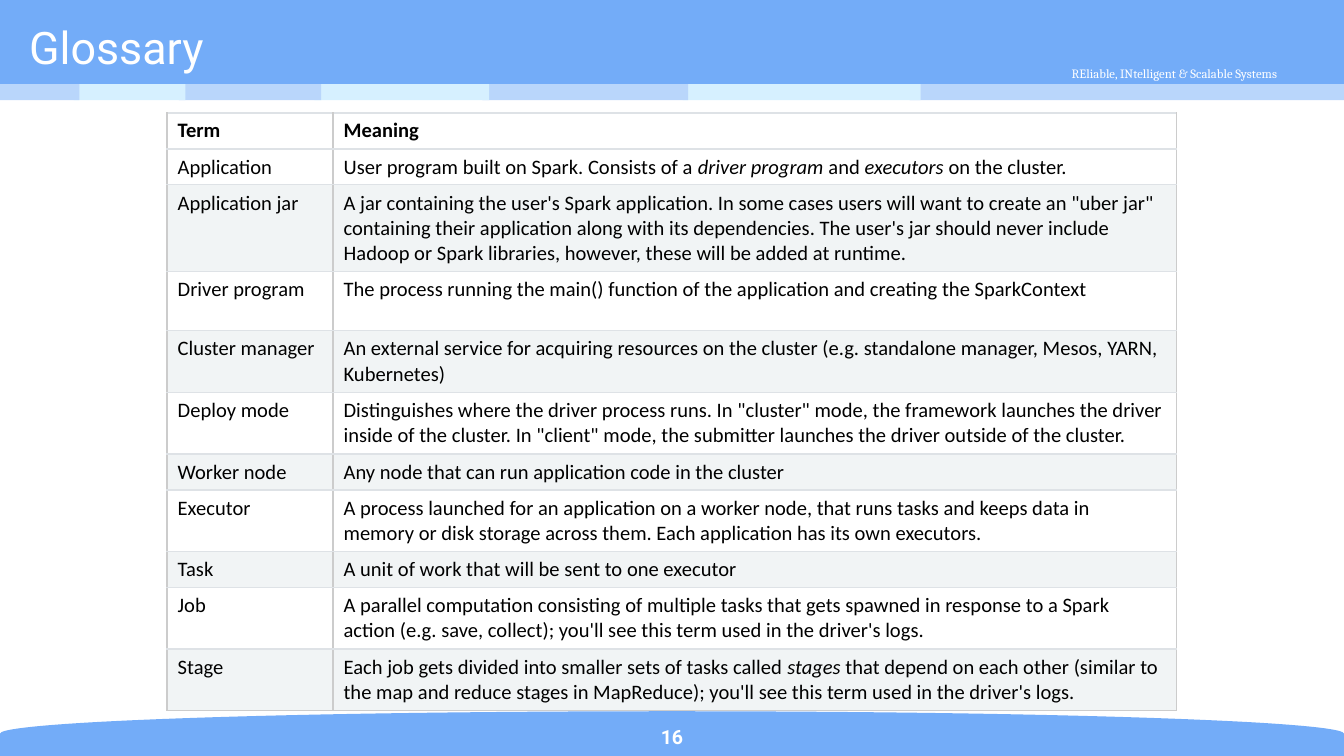
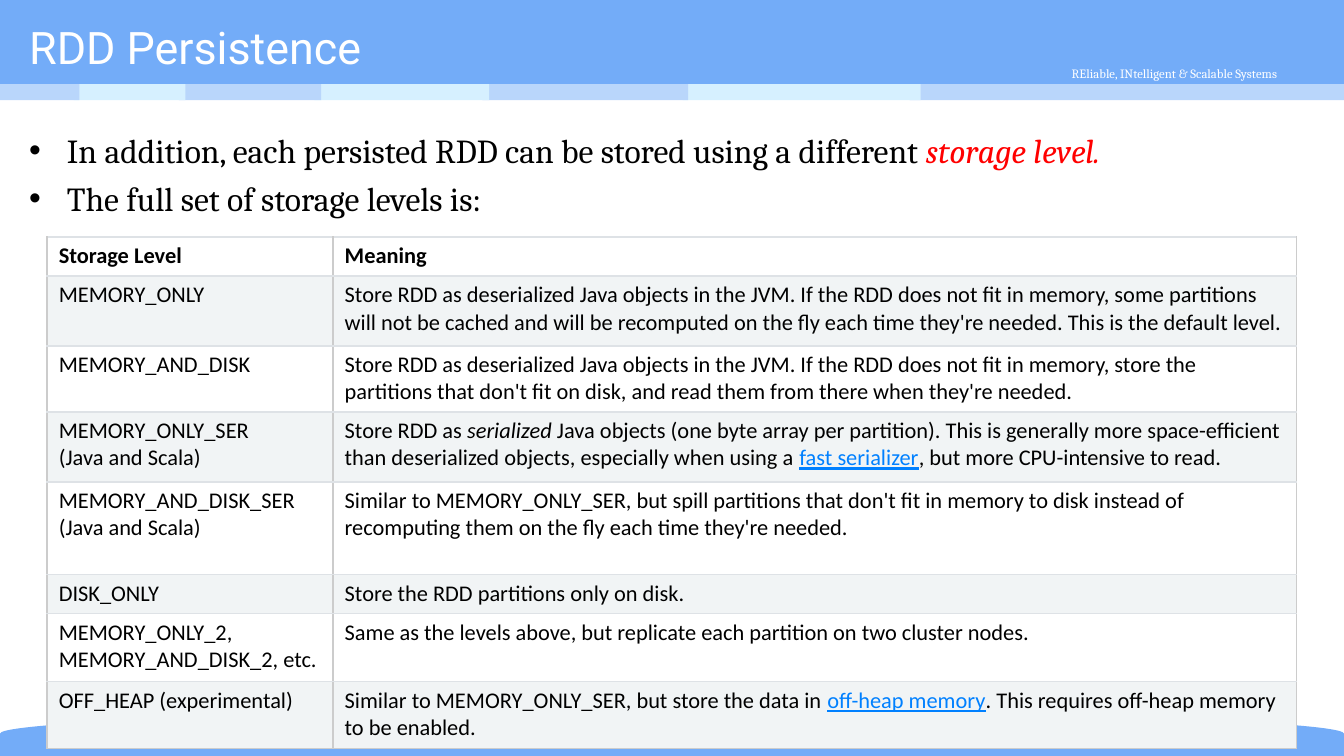
from dataclasses import dataclass
from typing import NamedTuple

from lxml.etree import SubElement
from pptx import Presentation
from pptx.dml.color import RGBColor
from pptx.enum.shapes import MSO_SHAPE as Preset
from pptx.enum.text import MSO_ANCHOR as Anchor, PP_ALIGN as Align
from pptx.oxml import parse_xml
from pptx.oxml.ns import nsdecls, qn
from pptx.util import Pt

BLUE = "73ACF8"
BAND_COLOURS = ("B9D6FB", "D6F0FF")
WHITE = "FFFFFF"
BLACK = "000000"
RED = "FF0000"
LINK = "0080FF"
STRIPE = "F1F4F5"
SIDE_BORDER = "CCCCCC"
ROW_BORDER = "DEE2E6"


class Box(NamedTuple):
    left: float
    top: float
    width: float
    height: float


class Band(NamedTuple):
    left: float
    width: float


class Span(NamedTuple):
    text: str
    colour: str = ""
    italic: bool = False
    underline: bool = False


Content = str | tuple[str | Span, ...]
Rows = tuple[tuple[Content, Content], ...]


class TextStyle(NamedTuple):
    font: str
    size: float
    colour: str = BLACK
    bold: bool = False


@dataclass
class TableSpec:
    left: float
    top: float
    columns: tuple[float, ...]
    heights: tuple[float, ...]
    side_margin: float
    size: float
    header_anchor: Anchor
    rows: Rows
    first_stripe: int


BANDS = (
    Band(0, 42.5), Band(39.6, 59.8), Band(95.8, 76.3), Band(168.5, 93.6),
    Band(258.5, 110.2), Band(365.8, 127.4), Band(487.4, 232.6),
)
TITLE_STYLE = TextStyle("Roboto", 24, WHITE)
TAGLINE_STYLE = TextStyle("Cambria", 6.8, WHITE)
NUMBER_STYLE = TextStyle("Roboto", 10.5, WHITE, True)
BODY_STYLE = TextStyle("Cambria", 18)

GLOSSARY = TableSpec(
    left=89.5, top=60.5, columns=(88.9, 451.8),
    heights=(19.3, 19.3, 46.6, 31.6, 33, 33, 19.3, 33, 19.3, 33, 33),
    side_margin=5.7, size=11, header_anchor=Anchor.BOTTOM, first_stripe=2,
    rows=(
        ("Term", "Meaning"),
        ("Application", (
            "User program built on Spark. Consists of a ",
            Span("driver program", italic=True), " and ",
            Span("executors", italic=True), " on the cluster.")),
        ("Application jar",
         "A jar containing the user's Spark application. In some cases users "
         "will want to create an \"uber jar\" containing their application along "
         "with its dependencies. The user's jar should never include Hadoop or "
         "Spark libraries, however, these will be added at runtime."),
        ("Driver program",
         "The process running the main() function of the application and "
         "creating the SparkContext"),
        ("Cluster manager",
         "An external service for acquiring resources on the cluster (e.g. "
         "standalone manager, Mesos, YARN, Kubernetes)"),
        ("Deploy mode",
         "Distinguishes where the driver process runs. In \"cluster\" mode, the "
         "framework launches the driver inside of the cluster. In \"client\" "
         "mode, the submitter launches the driver outside of the cluster."),
        ("Worker node", "Any node that can run application code in the cluster"),
        ("Executor",
         "A process launched for an application on a worker node, that runs "
         "tasks and keeps data in memory or disk storage across them. Each "
         "application has its own executors."),
        ("Task", "A unit of work that will be sent to one executor"),
        ("Job",
         "A parallel computation consisting of multiple tasks that gets spawned "
         "in response to a Spark action (e.g. save, collect); you'll see this "
         "term used in the driver's logs."),
        ("Stage", (
            "Each job gets divided into smaller sets of tasks called ",
            Span("stages", italic=True),
            " that depend on each other (similar to the map and reduce stages "
            "in MapReduce); you'll see this term used in the driver's logs.")),
    ),
)

STORAGE_LEVELS = TableSpec(
    left=25.2, top=127, columns=(153.2, 516),
    heights=(20.9, 37.5, 35.4, 37.5, 49.8, 20.9, 36.4, 35.6),
    side_margin=6.3, size=12, header_anchor=Anchor.TOP, first_stripe=1,
    rows=(
        ("Storage Level", "Meaning"),
        ("MEMORY_ONLY",
         "Store RDD as deserialized Java objects in the JVM. If the RDD does not "
         "fit in memory, some partitions will not be cached and will be "
         "recomputed on the fly each time they're needed. This is the default "
         "level."),
        ("MEMORY_AND_DISK",
         "Store RDD as deserialized Java objects in the JVM. If the RDD does not "
         "fit in memory, store the partitions that don't fit on disk, and read "
         "them from there when they're needed."),
        ("MEMORY_ONLY_SER\v(Java and Scala)", (
            "Store RDD as ", Span("serialized", italic=True),
            " Java objects (one byte array per partition). This is generally "
            "more space-efficient than deserialized objects, especially when "
            "using a ", Span("fast serializer", LINK, underline=True),
            ", but more CPU-intensive to read.")),
        ("MEMORY_AND_DISK_SER\v(Java and Scala)",
         "Similar to MEMORY_ONLY_SER, but spill partitions that don't fit in "
         "memory to disk instead of recomputing them on the fly each time "
         "they're needed."),
        ("DISK_ONLY", "Store the RDD partitions only on disk."),
        ("MEMORY_ONLY_2, MEMORY_AND_DISK_2, etc.",
         "Same as the levels above, but replicate each partition on two cluster "
         "nodes."),
        ("OFF_HEAP (experimental)", (
            "Similar to MEMORY_ONLY_SER, but store the data in ",
            Span("off-heap memory", LINK, underline=True),
            ". This requires off-heap memory to be enabled.")),
    ),
)

PERSISTENCE_POINTS: tuple[Content, ...] = (
    ("In addition, each persisted RDD can be stored using a different ",
     Span("storage level.", RED, italic=True)),
    "The full set of storage levels is:",
)


def rgb(colour: str) -> RGBColor:
    return RGBColor.from_string(colour)


def format_run(run, style: TextStyle, span: Span) -> None:
    font = run.font
    font.name = style.font
    font.size = Pt(style.size)
    font.bold = style.bold
    font.italic = span.italic
    font.underline = span.underline
    font.color.rgb = rgb(span.colour or style.colour)


def write_paragraph(paragraph, content: Content, style: TextStyle) -> None:
    if isinstance(content, str):
        paragraph.text = content
        for run in paragraph.runs:
            format_run(run, style, Span(run.text))
        return
    for part in content:
        span = Span(part) if isinstance(part, str) else part
        run = paragraph.add_run()
        run.text = span.text
        format_run(run, style, span)


def add_block(slide, preset: Preset, box: Box, colour: str):
    shape = slide.shapes.add_shape(preset, *map(Pt, box))
    shape.shadow.inherit = False
    shape.fill.solid()
    shape.fill.fore_color.rgb = rgb(colour)
    shape.line.fill.background()
    return shape


def add_label(slide, box: Box, text: str, style: TextStyle,
              align: Align = Align.LEFT, anchor: Anchor = Anchor.MIDDLE) -> None:
    text_frame = slide.shapes.add_textbox(*map(Pt, box)).text_frame
    text_frame.word_wrap = True
    text_frame.vertical_anchor = anchor
    paragraph = text_frame.paragraphs[0]
    paragraph.alignment = align
    write_paragraph(paragraph, text, style)


def add_bullets(slide, box: Box, points: tuple[Content, ...]) -> None:
    text_frame = slide.shapes.add_textbox(*map(Pt, box)).text_frame
    text_frame.word_wrap = True
    for index, point in enumerate(points):
        paragraph = text_frame.add_paragraph() if index else text_frame.paragraphs[0]
        properties = paragraph._p.get_or_add_pPr()
        properties.set("marL", str(Pt(20.2)))
        properties.set("indent", str(-Pt(20.2)))
        SubElement(properties, qn("a:buFont"), typeface="Arial")
        SubElement(properties, qn("a:buChar"), char="•")
        if index:
            paragraph.space_before = Pt(4)
        write_paragraph(paragraph, point, BODY_STYLE)


def set_borders(cell, bottom: str) -> None:
    properties = cell._tc.get_or_add_tcPr()
    sides = (("lnL", SIDE_BORDER), ("lnR", SIDE_BORDER), ("lnT", ROW_BORDER), ("lnB", bottom))
    for position, (tag, colour) in enumerate(sides):
        properties.insert(position, parse_xml(
            f'<a:{tag} {nsdecls("a")} w="{Pt(0.75)}"><a:solidFill>'
            f'<a:srgbClr val="{colour}"/></a:solidFill></a:{tag}>'))


def add_data_table(slide, spec: TableSpec) -> None:
    box = Box(spec.left, spec.top, sum(spec.columns), sum(spec.heights))
    table = slide.shapes.add_table(
        len(spec.rows), len(spec.columns), *map(Pt, box)).table
    table.first_row = False
    table.horz_banding = False
    for column, width in zip(table.columns, spec.columns):
        column.width = Pt(width)
    for index, contents in enumerate(spec.rows):
        table.rows[index].height = Pt(spec.heights[index])
        header = index == 0
        striped = not header and index % 2 == spec.first_stripe % 2
        last = index == len(spec.rows) - 1
        style = TextStyle("Calibri", spec.size, bold=header)
        for cell, content in zip(table.rows[index].cells, contents):
            cell.margin_left = cell.margin_right = Pt(spec.side_margin)
            cell.margin_top = cell.margin_bottom = Pt(2.9)
            cell.vertical_anchor = spec.header_anchor if header else Anchor.TOP
            cell.fill.solid()
            cell.fill.fore_color.rgb = rgb(STRIPE if striped else WHITE)
            set_borders(cell, SIDE_BORDER if last else ROW_BORDER)
            write_paragraph(cell.text_frame.paragraphs[0], content, style)


def add_framed_slide(presentation, title: str):
    slide = presentation.slides.add_slide(presentation.slide_layouts[6])
    footer = add_block(slide, Preset.FLOWCHART_DELAY, Box(348, 33, 24, 720), BLUE)
    footer.rotation = 270
    add_block(slide, Preset.RECTANGLE, Box(0, 0, 720, 46.8), BLUE)
    add_label(slide, Box(541.4, 31.7, 175.7, 15.1),
              "REliable, INtelligent & Scalable Systems",
              TAGLINE_STYLE, Align.CENTER, Anchor.TOP)
    for index, band in reversed(list(enumerate(BANDS))):
        add_block(slide, Preset.RECTANGLE, Box(band.left, 45, band.width, 8.6),
                  BAND_COLOURS[index % 2])
    add_label(slide, Box(8.6, 8.6, 537, 32.4), title, TITLE_STYLE)
    return slide


def main() -> None:
    presentation = Presentation()
    presentation.slide_width = Pt(720)
    presentation.slide_height = Pt(405)

    glossary = add_framed_slide(presentation, "Glossary")
    add_data_table(glossary, GLOSSARY)
    add_label(glossary, Box(320.4, 385.2, 79.2, 18.7), "16", NUMBER_STYLE, Align.CENTER)

    persistence = add_framed_slide(presentation, "RDD Persistence")
    add_bullets(persistence, Box(8.6, 66.2, 692, 310), PERSISTENCE_POINTS)
    add_data_table(persistence, STORAGE_LEVELS)

    presentation.save("out.pptx")


if __name__ == "__main__":
    main()
